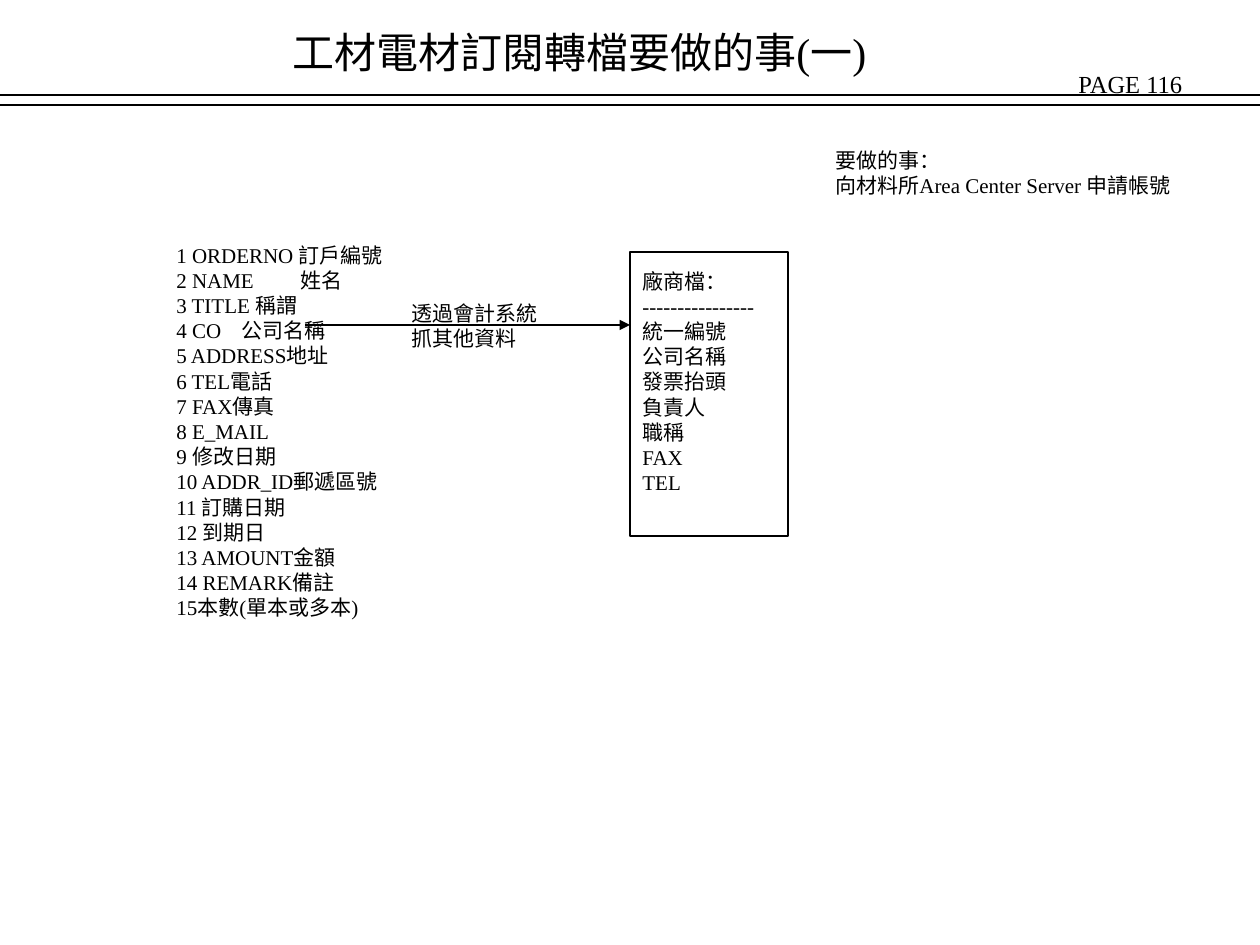
from dataclasses import dataclass

from lxml import etree
from pptx import Presentation
from pptx.dml.color import RGBColor
from pptx.enum.shapes import MSO_CONNECTOR, MSO_SHAPE
from pptx.enum.text import MSO_ANCHOR, MSO_AUTO_SIZE, PP_ALIGN
from pptx.oxml.ns import qn
from pptx.util import Emu, Pt

STRAIGHT = MSO_CONNECTOR.STRAIGHT
RECTANGLE = MSO_SHAPE.RECTANGLE
TOP = MSO_ANCHOR.TOP
GROW = MSO_AUTO_SIZE.SHAPE_TO_FIT_TEXT
LEFT = PP_ALIGN.LEFT

EMU_PER_PX = 914400 / 126
PAGE_WIDTH, PAGE_HEIGHT = 1260, 945


@dataclass(frozen=True)
class Theme:
    ink: RGBColor = RGBColor(0, 0, 0)
    font: str = "Times New Roman"
    title: int = 24
    page_number: int = 14
    body: int = 12
    line: float = 0.75


THEME = Theme()

ORDER_FIELDS = [
    "1 ORDERNO 訂戶編號", "2 NAME\t姓名", "3 TITLE 稱謂", "4 CO\t公司名稱",
    "5 ADDRESS地址", "6 TEL電話", "7 FAX傳真", "8 E_MAIL", "9 修改日期",
    "10 ADDR_ID郵遞區號", "11 訂購日期", "12 到期日", "13 AMOUNT金額",
    "14 REMARK備註", "15本數(單本或多本)",
]
FIELD_TABS = {"2 NAME\t姓名": 124, "4 CO\t公司名稱": 65}
VENDOR_FIELDS = [
    "廠商檔：", "----------------", "統一編號", "公司名稱", "發票抬頭",
    "負責人", "職稱", "FAX", "TEL",
]


def px(length):
    return Emu(round(length * EMU_PER_PX))


def add_tab_stop(para, position):
    tabs = etree.SubElement(para._p.get_or_add_pPr(), qn("a:tabLst"))
    etree.SubElement(tabs, qn("a:tab"), pos=str(px(position)), algn="l")


def write_lines(frame, lines, size, tab_stops):
    for index, line in enumerate(lines):
        para = frame.add_paragraph() if index else frame.paragraphs[0]
        if line in tab_stops:
            add_tab_stop(para, tab_stops[line])
        para.alignment = LEFT
        span = para.add_run()
        span.text = line
        span.font.name = THEME.font
        span.font.size = Pt(size)
        span.font.color.rgb = THEME.ink


def add_text(page, box, lines, size=THEME.body, tab_stops=None):
    frame = page.shapes.add_textbox(*map(px, box)).text_frame
    frame.word_wrap = False
    frame.auto_size = GROW
    write_lines(frame, lines, size, tab_stops or {})


def add_rule(page, left, right, y, arrow=False):
    rule = page.shapes.add_connector(STRAIGHT, px(left), px(y), px(right), px(y))
    rule.line.color.rgb = THEME.ink
    rule.line.width = Pt(THEME.line)
    if arrow:
        etree.SubElement(rule.line._get_or_add_ln(), qn("a:tailEnd"), type="triangle")
    etree.SubElement(rule._element.spPr, qn("a:effectLst"))


def add_header(page, box):
    left, top, width, height = box
    add_text(page, (left + 280, top + 20, 629, 63),
             ["工材電材訂閱轉檔要做的事(一)"], THEME.title)
    add_text(page, (left + 1066, top + 63, 198, 43), ["PAGE 116"], THEME.page_number)
    for y in (top + height - 10, top + height):
        add_rule(page, left, left + width, y)


def add_vendor_file(page, box):
    card = page.shapes.add_shape(RECTANGLE, *map(px, box))
    card.shadow.inherit = False
    card.fill.background()
    card.line.color.rgb = THEME.ink
    card.line.width = Pt(THEME.line)
    frame = card.text_frame
    frame.word_wrap = True
    frame.vertical_anchor = TOP
    frame.margin_top = px(16)
    write_lines(frame, VENDOR_FIELDS, THEME.body, {})


def add_transfer(page, box):
    """Draw the order fields, the vendor file and the arrow that joins them."""
    left, top, width, height = box
    vendor_left = left + 466
    arrow_y = top + 89
    add_vendor_file(page, (vendor_left, top + 16, width - 466, height - 126))
    add_text(page, (left, top, 237, 391), ORDER_FIELDS, tab_stops=FIELD_TABS)
    add_rule(page, left + 141, vendor_left, arrow_y, arrow=True)
    add_text(page, (left + 235, arrow_y - 31, 151, 63), ["透過會計系統", "抓其他資料"])


def main():
    deck = Presentation()
    deck.slide_width, deck.slide_height = px(PAGE_WIDTH), px(PAGE_HEIGHT)
    page = deck.slides.add_slide(deck.slide_layouts[6])
    add_header(page, (0, 0, PAGE_WIDTH, 105))
    add_transfer(page, (164, 236, 624, 410))
    add_text(page, (823, 141, 370, 63),
             ["要做的事：", "向材料所Area Center Server 申請帳號"])
    deck.save("out.pptx")


if __name__ == "__main__":
    main()
